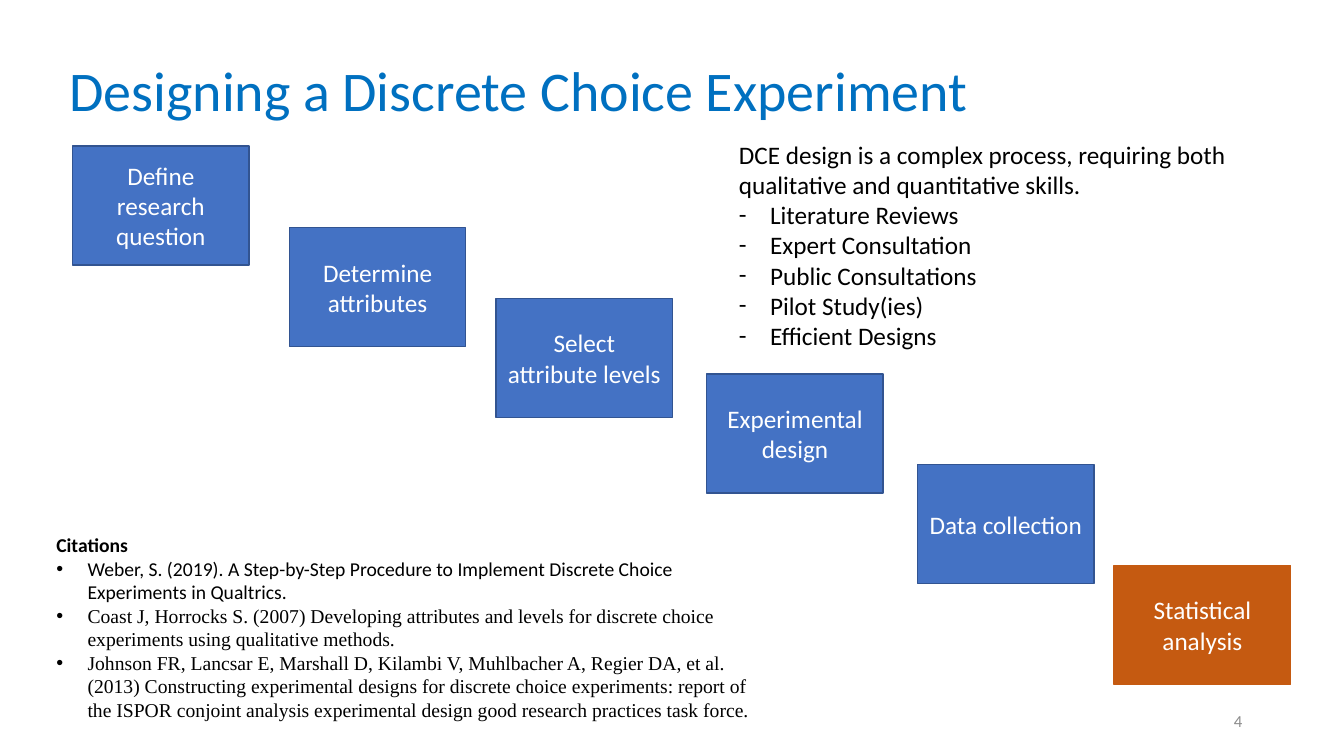
from lxml import etree
from pptx import Presentation
from pptx.dml.color import RGBColor
from pptx.enum.shapes import MSO_SHAPE
from pptx.enum.text import MSO_ANCHOR, PP_ALIGN
from pptx.oxml.ns import qn
from pptx.util import Inches, Pt

RECTANGLE = MSO_SHAPE.RECTANGLE
TOP, MIDDLE = MSO_ANCHOR.TOP, MSO_ANCHOR.MIDDLE
LEFT, CENTER, RIGHT = PP_ALIGN.LEFT, PP_ALIGN.CENTER, PP_ALIGN.RIGHT

COLORS = {
    "title": "0070C0",
    "text": "000000",
    "number": "8C8C8C",
    "step": "4472C4",
    "step_line": "325491",
    "final_step": "C55A11",
    "step_text": "FFFFFF",
}
SANS, SERIF = "Calibri", "Times New Roman"
BULLET_INDENT = 0.31
STEP_SIZE = (1.75, 1.18)

# Label, left and top of each step in the staircase
STEPS = [
    ("Define research question", 0.72, 1.45),
    ("Determine attributes", 2.87, 2.26),
    ("Select attribute levels", 4.92, 2.96),
    ("Experimental design", 7.01, 3.71),
    ("Data collection", 9.1, 4.61),
    ("Statistical analysis", 11.05, 5.61),
]
SKILLS_INTRO = ("DCE design is a complex process, requiring both "
                "qualitative and quantitative skills.")
SKILLS = ["Literature Reviews", "Expert Consultation", "Public Consultations",
          "Pilot Study(ies)", "Efficient Designs"]
CITATIONS = [
    ("Weber, S. (2019). A Step-by-Step Procedure to Implement Discrete Choice "
     "Experiments in Qualtrics.", SANS),
    ("Coast J, Horrocks S. (2007) Developing attributes and levels for discrete "
     "choice experiments using qualitative methods.", SERIF),
    ("Johnson FR, Lancsar E, Marshall D, Kilambi V, Muhlbacher A, Regier DA, et al. "
     "(2013) Constructing experimental designs for discrete choice experiments: "
     "report of the ISPOR conjoint analysis experimental design good research "
     "practices task force.", SERIF),
]


def color(name):
    return RGBColor.from_string(COLORS[name])


def add_bullet(paragraph, bullet):
    properties = paragraph._p.get_or_add_pPr()
    properties.set("marL", str(Inches(BULLET_INDENT)))
    properties.set("indent", str(-Inches(BULLET_INDENT)))
    font = etree.SubElement(properties, qn("a:buFont"))
    font.set("typeface", SANS if bullet == "-" else "Arial")
    etree.SubElement(properties, qn("a:buChar")).set("char", bullet)


def write(frame, text, size=18, font=SANS, fill="text", bold=False,
          align=LEFT, bullet=None, line_spacing=None):
    """Fill the frame's first paragraph, or append one if it has text."""
    paragraph = frame.add_paragraph() if frame.text else frame.paragraphs[0]
    if bullet:
        add_bullet(paragraph, bullet)
    paragraph.alignment = align
    if line_spacing:
        paragraph.line_spacing = line_spacing
    run = paragraph.add_run()
    run.text = text
    run.font.size = Pt(size)
    run.font.name = font
    run.font.bold = bold
    run.font.color.rgb = color(fill)


def add_text_frame(slide, box, anchor=TOP):
    frame = slide.shapes.add_textbox(*map(Inches, box)).text_frame
    frame.word_wrap = True
    frame.vertical_anchor = anchor
    return frame


def add_title(slide, box):
    write(add_text_frame(slide, box, MIDDLE), "Designing a Discrete Choice Experiment",
          size=40, fill="title", line_spacing=0.9)


def add_step(slide, box, label, fill, line):
    shape = slide.shapes.add_shape(RECTANGLE, *map(Inches, box))
    shape.shadow.inherit = False
    shape.fill.solid()
    shape.fill.fore_color.rgb = color(fill)
    shape.line.color.rgb = color(line)
    shape.line.width = Pt(1)
    frame = shape.text_frame
    frame.word_wrap = True
    frame.vertical_anchor = MIDDLE
    write(frame, label, fill="step_text", align=CENTER)


def add_staircase(slide):
    for label, left, top in STEPS:
        is_final = label == STEPS[-1][0]
        add_step(slide, (left, top, *STEP_SIZE), label,
                 fill="final_step" if is_final else "step",
                 line="final_step" if is_final else "step_line")


def add_skills(slide, box):
    frame = add_text_frame(slide, box)
    write(frame, SKILLS_INTRO)
    for skill in SKILLS:
        write(frame, skill, bullet="-")


def add_citations(slide, box):
    frame = add_text_frame(slide, box)
    write(frame, "Citations", size=14, bold=True)
    for citation, font in CITATIONS:
        write(frame, citation, size=14, font=font, bullet="•")


def add_slide_number(slide, box):
    write(add_text_frame(slide, box, MIDDLE), "4", size=12, fill="number", align=RIGHT)


def main():
    presentation = Presentation()
    presentation.slide_width = Inches(13.33)
    presentation.slide_height = Inches(7.5)
    slide = presentation.slides.add_slide(presentation.slide_layouts[6])
    add_title(slide, (0.59, 0.2, 11.5, 1.45))
    add_slide_number(slide, (9.42, 6.95, 3, 0.4))
    add_staircase(slide)
    add_skills(slide, (7.23, 1.33, 5.18, 2.22))
    add_citations(slide, (0.46, 5.24, 7.21, 1.99))
    presentation.save("out.pptx")


if __name__ == "__main__":
    main()
